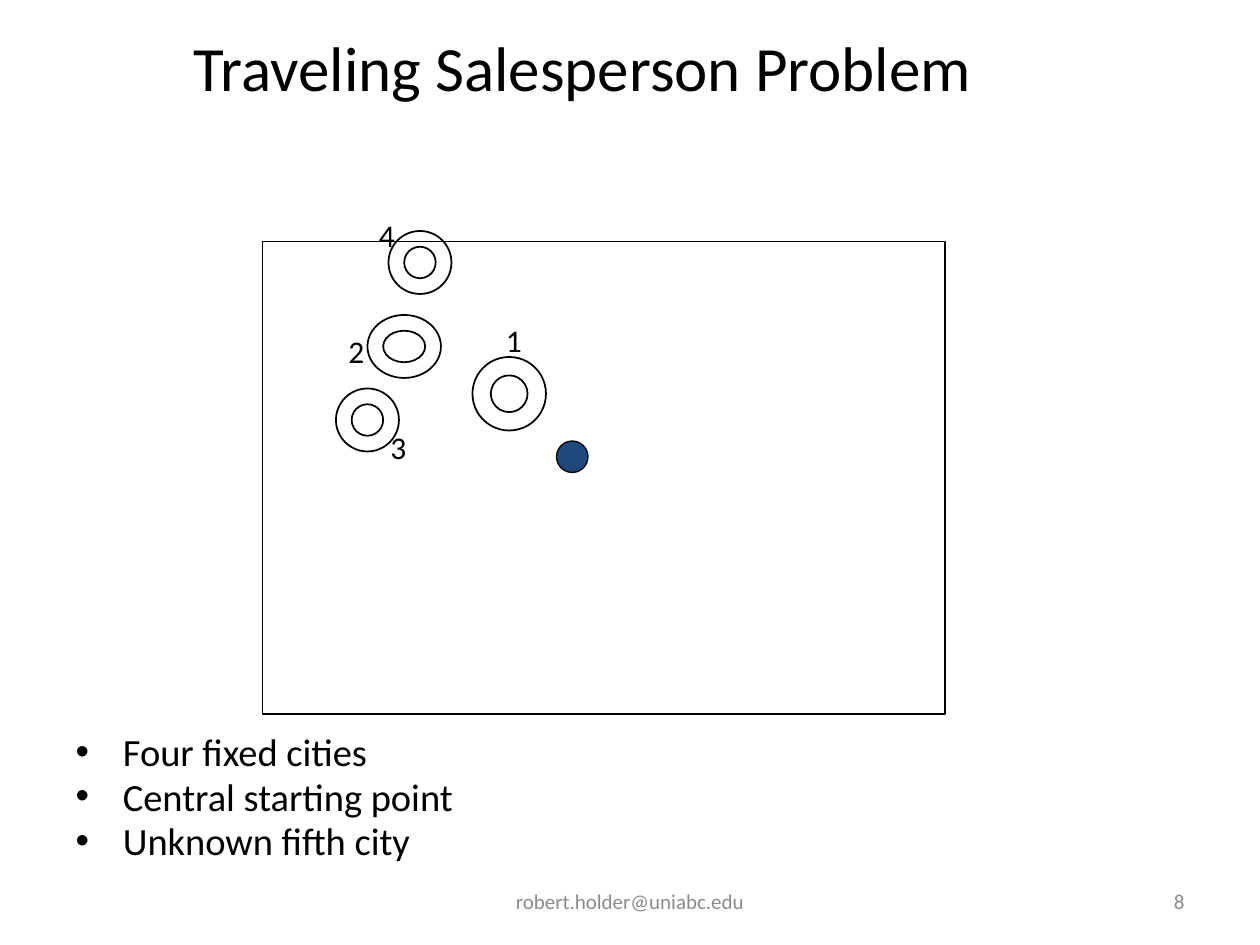
"""Build the Traveling Salesperson Problem slide."""
from pptx import Presentation
from pptx.dml.color import RGBColor
from pptx.enum.shapes import MSO_SHAPE
from pptx.enum.text import MSO_ANCHOR, MSO_AUTO_SIZE, PP_ALIGN
from pptx.util import Pt

DONUT, OVAL, RECTANGLE = MSO_SHAPE.DONUT, MSO_SHAPE.OVAL, MSO_SHAPE.RECTANGLE
TOP, MIDDLE = MSO_ANCHOR.TOP, MSO_ANCHOR.MIDDLE
LEFT, CENTER, RIGHT = PP_ALIGN.LEFT, PP_ALIGN.CENTER, PP_ALIGN.RIGHT
FIXED_SIZE, GROW = MSO_AUTO_SIZE.NONE, MSO_AUTO_SIZE.SHAPE_TO_FIT_TEXT
BLACK = RGBColor(0x00, 0x00, 0x00)
GRAY = RGBColor(0x8C, 0x8C, 0x8C)
NAVY = RGBColor(0x1F, 0x49, 0x7D)

CITIES = [
    ("4", (222, 132, 36, 36), (209.5, 120)),
    ("2", (210, 180, 42, 36), (192, 186)),
    ("3", (192, 222, 36, 36), (216, 241)),
    ("1", (270, 204, 42, 42), (282, 180)),
]


def write(paragraph, text, size=18, color=BLACK, align=LEFT, font="Calibri"):
    paragraph.alignment = align
    run = paragraph.add_run()
    run.text = text
    run.font.name = font
    run.font.size = Pt(size)
    run.font.color.rgb = color


class SlideBuilder:
    def __init__(self, slide, line_color=BLACK):
        self.slide = slide
        self.line_color = line_color

    def place(self, shape, left, top, width, height):
        shape.left, shape.top = Pt(left), Pt(top)
        shape.width, shape.height = Pt(width), Pt(height)

    def title(self, text, box, size):
        shape = self.slide.shapes.title
        self.place(shape, *box)
        frame = shape.text_frame
        frame.auto_size = FIXED_SIZE
        frame.vertical_anchor = TOP
        frame.margin_top = Pt(7)
        write(frame.paragraphs[0], text, size=size, align=CENTER)

    def bullets(self, items, box, size, indent=27):
        shape = self.slide.placeholders[1]
        self.place(shape, *box)
        frame = shape.text_frame
        frame.auto_size = FIXED_SIZE
        for index, item in enumerate(items):
            paragraph = frame.add_paragraph() if index else frame.paragraphs[0]
            paragraph.line_spacing = 0.8
            paragraph.space_before = Pt(size * 0.2)
            write(paragraph, item, size=size)
            properties = paragraph._p.get_or_add_pPr()
            properties.set("marL", str(Pt(indent)))
            properties.set("indent", str(-Pt(indent)))

    def shape(self, kind, box, line_width=0.75, fill=None):
        shape = self.slide.shapes.add_shape(kind, *map(Pt, box))
        shape.shadow.inherit = False
        shape.line.color.rgb = self.line_color
        shape.line.width = Pt(line_width)
        if fill is None:
            shape.fill.background()
        else:
            shape.fill.solid()
            shape.fill.fore_color.rgb = fill

    def text(self, text, box, wrap=True, anchor=MIDDLE, **text_format):
        frame = self.slide.shapes.add_textbox(*map(Pt, box)).text_frame
        frame.word_wrap = wrap
        frame.auto_size = FIXED_SIZE if wrap else GROW
        frame.vertical_anchor = anchor
        write(frame.paragraphs[0], text, **text_format)


def main():
    presentation = Presentation()
    presentation.slide_width, presentation.slide_height = Pt(720), Pt(540)
    slide = presentation.slides.add_slide(presentation.slide_layouts[1])
    builder = SlideBuilder(slide)
    builder.title("Traveling Salesperson Problem", (36, 9.5, 594, 102), size=36)
    for _, ring, _ in CITIES:
        builder.shape(DONUT, ring, line_width=1)
    builder.shape(RECTANGLE, (150, 138, 390, 270))
    builder.shape(OVAL, (318, 252, 18, 18), fill=NAVY)
    builder.bullets(
        ["Four fixed cities", "Central starting point", "Unknown fifth city"],
        (36, 417.5, 648, 86.5), size=22)
    for number, _, (left, top) in CITIES:
        builder.text(number, (left, top, 24.5, 29), wrap=False, anchor=TOP)
    builder.text("robert.holder@uniabc.edu", (246, 500.5, 228, 28.75),
                 size=12, color=GRAY, align=CENTER)
    builder.text("8", (516, 500.5, 168, 28.75), size=12, color=GRAY, align=RIGHT)
    presentation.save("out.pptx")


if __name__ == "__main__":
    main()
